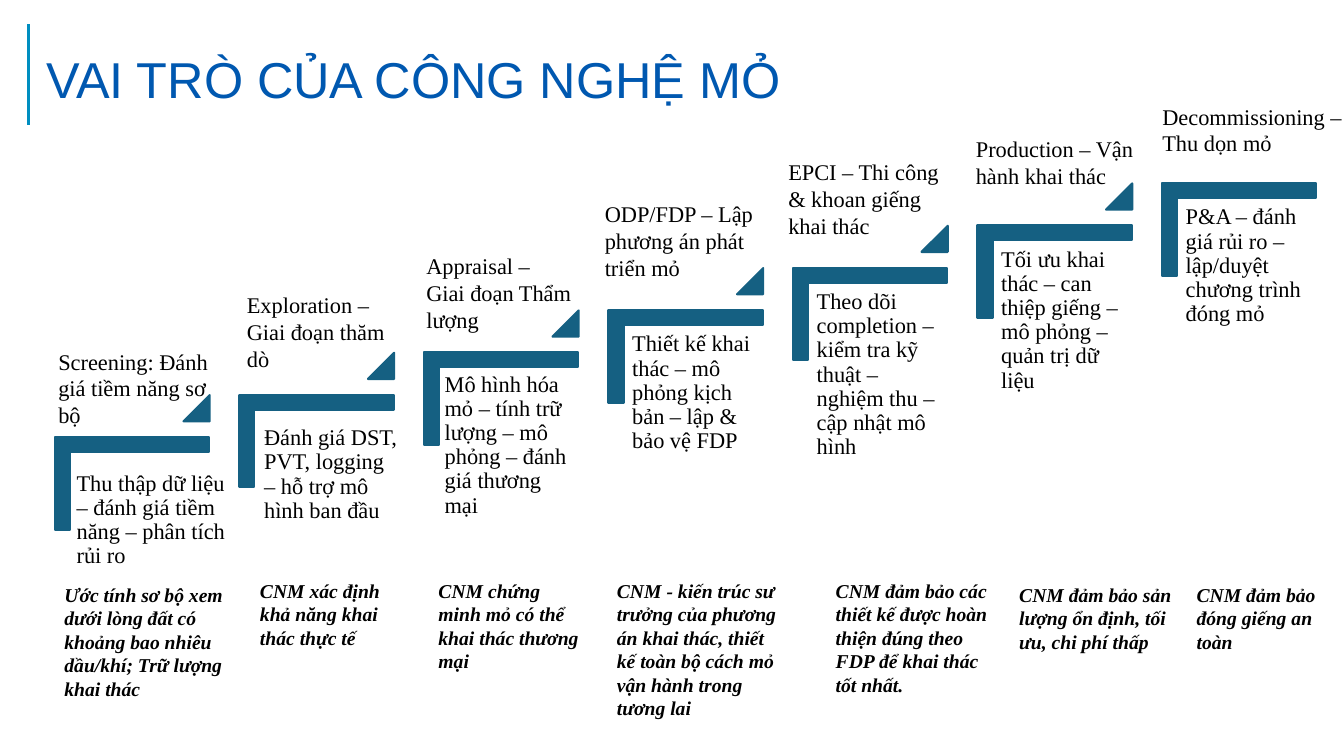
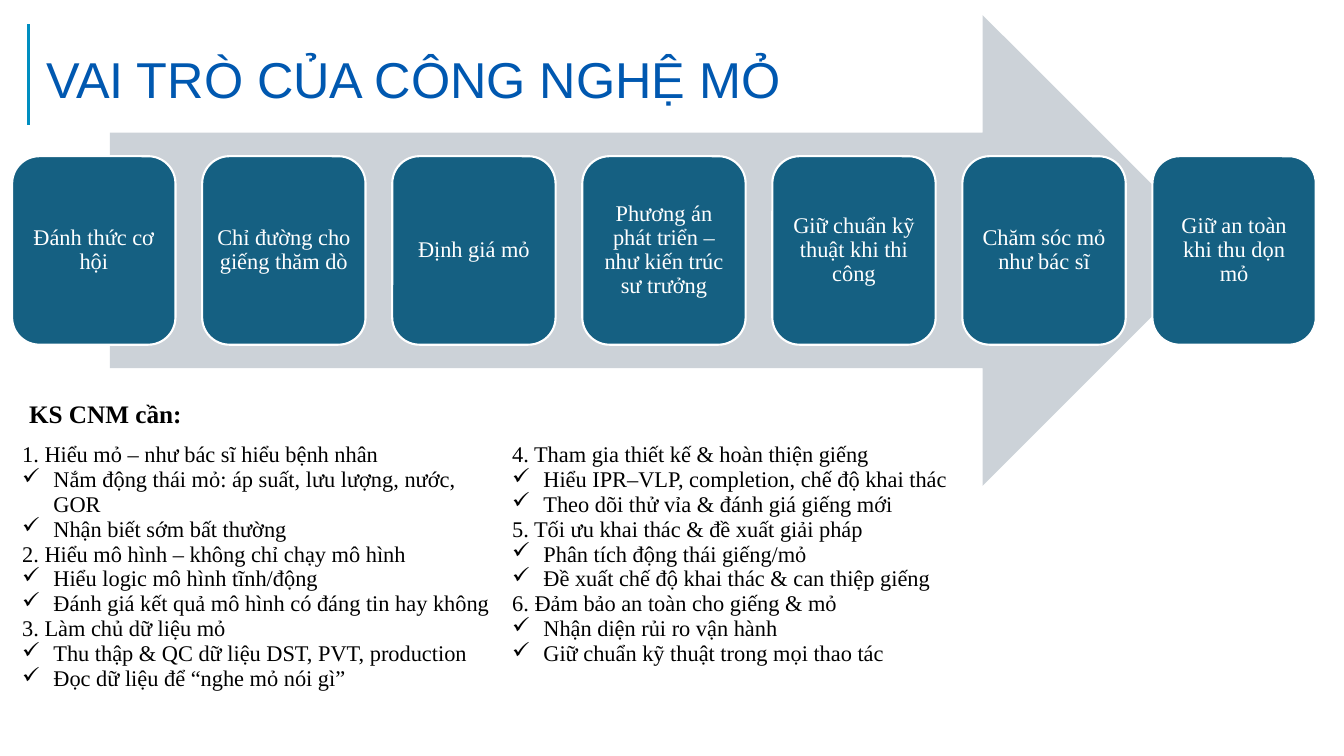
"""Build two slides on the role of reservoir engineering over a field's life."""
from dataclasses import dataclass

from lxml.etree import SubElement
from pptx import Presentation
from pptx.dml.color import RGBColor
from pptx.enum.shapes import MSO_CONNECTOR, MSO_SHAPE as Shape
from pptx.enum.text import MSO_ANCHOR as Anchor, MSO_AUTO_SIZE as AutoSize, PP_ALIGN as Align
from pptx.oxml.ns import qn
from pptx.util import Inches, Pt

COLOURS = {
    "title": "0058B0",
    "rule": "008EC0",
    "teal": "156082",
    "arrow": "CCD2D8",
    "white": "FFFFFF",
    "black": "000000",
}
SERIF = "Times New Roman"
TITLE = "VAI TRÒ CỦA CÔNG NGHỆ MỎ"
STEP_ACROSS, STEP_UP = 1.83, 0.42


@dataclass
class Stage:
    """Hold one life stage: its label, its work and its role, with their boxes."""
    label: str
    label_box: tuple
    work: str
    role: str
    role_box: tuple
    nudge: tuple = (0, 0)
    work_width: float = 1.38


STAGES = [
    Stage("Screening: Đánh giá tiềm năng sơ bộ", (0.48, 3.4, 1.74, 0.91),
          "Thu thập dữ liệu – đánh giá tiềm năng – phân tích rủi ro",
          "Ước tính sơ bộ xem dưới lòng đất có khoảng bao nhiêu dầu/khí; Trữ lượng khai thác",
          (0.54, 5.73, 1.81, 1.28), (-0.02, 0.12), 1.66),
    Stage("Exploration – Giai đoạn thăm dò", (2.35, 2.84, 1.65, 0.91),
          "Đánh giá DST, PVT, logging – hỗ trợ mô hình ban đầu",
          "CNM xác định khả năng khai thác thực tế",
          (2.48, 5.69, 1.65, 0.81), (0.01, 0.09), 1.47),
    Stage("Appraisal – Giai đoạn Thẩm lượng", (4.13, 2.45, 1.65, 0.91),
          "Mô hình hóa mỏ – tính trữ lượng – mô phỏng – đánh giá thương mại",
          "CNM chứng minh mỏ có thể khai thác thương mại",
          (4.25, 5.69, 1.65, 1.04), (-0.03, -0.02), 1.42),
    Stage("ODP/FDP – Lập phương án phát triển mỏ", (5.9, 1.94, 1.82, 0.91),
          "Thiết kế khai thác – mô phỏng kịch bản – lập & bảo vệ FDP",
          "CNM - kiến trúc sư trưởng của phương án khai thác, thiết kế toàn bộ "
          "cách mỏ vận hành trong tương lai",
          (6.02, 5.69, 1.82, 1.51)),
    Stage("EPCI – Thi công & khoan giếng khai thác", (7.72, 1.52, 1.82, 0.91),
          "Theo dõi completion – kiểm tra kỹ thuật – nghiệm thu – cập nhật mô hình",
          "CNM đảm bảo các thiết kế được hoàn thiện đúng theo FDP để khai thác tốt nhất.",
          (8.19, 5.69, 1.82, 1.28)),
    Stage("Production – Vận hành khai thác", (9.58, 1.29, 1.82, 0.64),
          "Tối ưu khai thác – can thiệp giếng – mô phỏng – quản trị dữ liệu",
          "CNM đảm bảo sản lượng ổn định, tối ưu, chi phí thấp",
          (10.01, 5.73, 1.82, 0.81)),
    Stage("Decommissioning – Thu dọn mỏ", (11.43, 0.97, 2.15, 0.64),
          "P&A – đánh giá rủi ro – lập/duyệt chương trình đóng mỏ",
          "CNM đảm bảo đóng giếng an toàn",
          (11.77, 5.73, 1.56, 0.81)),
]

MISSIONS = [
    "Đánh thức cơ hội",
    "Chỉ đường cho giếng thăm dò",
    "Định giá mỏ",
    "Phương án phát triển – như kiến trúc sư trưởng",
    "Giữ chuẩn kỹ thuật khi thi công",
    "Chăm sóc mỏ như bác sĩ",
    "Giữ an toàn khi thu dọn mỏ",
]

SKILL_COLUMNS = [
    [
        ("1. Hiểu mỏ – như bác sĩ hiểu bệnh nhân",
         ["Nắm động thái mỏ: áp suất, lưu lượng, nước, GOR", "Nhận biết sớm bất thường"]),
        ("2. Hiểu mô hình – không chỉ chạy mô hình",
         ["Hiểu logic mô hình tĩnh/động", "Đánh giá kết quả mô hình có đáng tin hay không"]),
        ("3. Làm chủ dữ liệu mỏ",
         ["Thu thập & QC dữ liệu DST, PVT, production", "Đọc dữ liệu để “nghe mỏ nói gì”"]),
    ],
    [
        ("4. Tham gia thiết kế & hoàn thiện giếng",
         ["Hiểu IPR–VLP, completion, chế độ khai thác", "Theo dõi thử vỉa & đánh giá giếng mới"]),
        ("5. Tối ưu khai thác & đề xuất giải pháp",
         ["Phân tích động thái giếng/mỏ", "Đề xuất chế độ khai thác & can thiệp giếng"]),
        ("6. Đảm bảo an toàn cho giếng & mỏ",
         ["Nhận diện rủi ro vận hành", "Giữ chuẩn kỹ thuật trong mọi thao tác"]),
    ],
]


def colour(name):
    """Return the named colour."""
    return RGBColor.from_string(COLOURS[name])


def inches(numbers):
    """Turn plain numbers into lengths."""
    return [Inches(number) for number in numbers]


def style_font(para, size, shade="black", name=SERIF, bold=None, italic=None):
    """Set the font of a whole paragraph."""
    font = para.font
    font.name, font.size, font.bold, font.italic = name, Pt(size), bold, italic
    font.color.rgb = colour(shade)


def set_insets(frame, inset):
    """Give a text frame the same inset on every side."""
    frame.margin_left = frame.margin_right = Inches(inset)
    frame.margin_top = frame.margin_bottom = Inches(inset)


def add_text(page, place, text, size, spacing=None, inset=None, bold=None, italic=None):
    """Add a wrapped text box with one paragraph."""
    frame = page.shapes.add_textbox(*inches(place)).text_frame
    frame.word_wrap = True
    if inset is not None:
        set_insets(frame, inset)
    para = frame.paragraphs[0]
    para.text = text
    para.line_spacing = spacing
    style_font(para, size, bold=bold, italic=italic)


def add_preset(page, kind, place, fill, line=None, adjustments=()):
    """Add a flat preset shape."""
    shape = page.shapes.add_shape(kind, *inches(place))
    shape.shadow.inherit = False
    shape.fill.solid()
    shape.fill.fore_color.rgb = colour(fill)
    if line:
        shape.line.color.rgb = colour(line)
        shape.line.width = Pt(1.5)
    else:
        shape.line.fill.background()
    for index, value in enumerate(adjustments):
        shape.adjustments[index] = value
    return shape


def add_page(deck):
    """Add a slide with the shared title and its vertical rule."""
    page = deck.slides.add_slide(deck.slide_layouts[5])
    title = page.shapes.title
    title.left, title.top, title.width, title.height = inches((0.36, 0.37, 9.2, 0.73))
    frame = title.text_frame
    frame.word_wrap = True
    frame.auto_size = AutoSize.NONE
    frame.vertical_anchor = Anchor.TOP
    para = frame.paragraphs[0]
    para.text = TITLE
    para.alignment = Align.LEFT
    para.line_spacing = 1.1
    style_font(para, 36, "title", "Arial")

    rule = page.shapes.add_connector(MSO_CONNECTOR.STRAIGHT, *inches((0.28, 0.24, 0.28, 1.24)))
    rule.line.color.rgb = colour("rule")
    rule.line.width = Pt(2.25)
    SubElement(rule.element.spPr, qn("a:effectLst"))
    return page


def add_stage(page, index, stage):
    """Draw one stair of the life cycle with its three texts."""
    across, up = index * STEP_ACROSS, index * STEP_UP
    corner = add_preset(page, Shape.CORNER, (0.85 + across, 4.03 - up, 0.92, 1.53),
                        "teal", "teal", (0.161, 0.161))
    corner.rotation = 90
    shift_x, shift_y = stage.nudge
    work_box = (0.71 + across + shift_x, 4.49 - up + shift_y, stage.work_width, 1.21)
    add_text(page, work_box, stage.work, 16, spacing=0.9, inset=0.07)
    if index < len(STAGES) - 1:
        add_preset(page, Shape.ISOSCELES_TRIANGLE, (1.82 + across, 3.92 - up, 0.26, 0.26),
                   "teal", "teal", (1,))
    add_text(page, stage.label_box, stage.label, 16)
    add_text(page, stage.role_box, stage.role, 14, bold=True, italic=True)


def add_mission(page, index, text):
    """Add one rounded box of the mission row."""
    box = add_preset(page, Shape.ROUNDED_RECTANGLE, (0.12 + index * 1.885, 1.55, 1.62, 1.87),
                     "teal", "white")
    frame = box.text_frame
    frame.word_wrap = True
    frame.vertical_anchor = Anchor.MIDDLE
    set_insets(frame, 0.07)
    para = frame.paragraphs[0]
    para.text = text
    para.alignment = Align.CENTER
    para.line_spacing = 0.9
    style_font(para, 16, "white")


def add_check(para):
    """Give a paragraph a hanging check mark."""
    properties = para._p.get_or_add_pPr()
    properties.set("marL", str(Inches(0.31)))
    properties.set("indent", str(-Inches(0.31)))
    SubElement(properties, qn("a:buChar")).set("char", "✓")


def fill_skill_cell(cell, groups):
    """Write numbered headings and their checked items into a cell."""
    cell.fill.solid()
    cell.fill.fore_color.rgb = colour("white")
    lines = [line for heading, items in groups
             for line in [(heading, False)] + [(item, True) for item in items]]
    frame = cell.text_frame
    for index, (text, checked) in enumerate(lines):
        para = frame.add_paragraph() if index else frame.paragraphs[0]
        para.text = text
        if checked:
            add_check(para)
        style_font(para, 16)


def add_skill_table(page):
    """Add the two-column table of skills."""
    table = page.shapes.add_table(1, 2, *inches((0.12, 4.34, 9.9, 2.46))).table
    table.first_row = table.horz_banding = False
    for column, width in zip(table.columns, (4.86, 5.04)):
        column.width = Inches(width)
    for cell, groups in zip(table.rows[0].cells, SKILL_COLUMNS):
        fill_skill_cell(cell, groups)


def build_stages(deck):
    """Build the staircase slide."""
    page = add_page(deck)
    for index, stage in enumerate(STAGES):
        add_stage(page, index, stage)


def build_missions(deck):
    """Build the slide with the mission arrow and the skills."""
    page = add_page(deck)
    add_skill_table(page)
    add_preset(page, Shape.RIGHT_ARROW, (1.09, 0.15, 10.99, 4.67), "arrow")
    for index, text in enumerate(MISSIONS):
        add_mission(page, index, text)
    add_text(page, (0.19, 3.9, 9.4, 0.41), "KS CNM cần:", 18, bold=True)


def main():
    """Build and save the deck."""
    deck = Presentation()
    deck.slide_width, deck.slide_height = inches((13.33, 7.5))
    build_stages(deck)
    build_missions(deck)
    deck.save("out.pptx")


if __name__ == "__main__":
    main()
